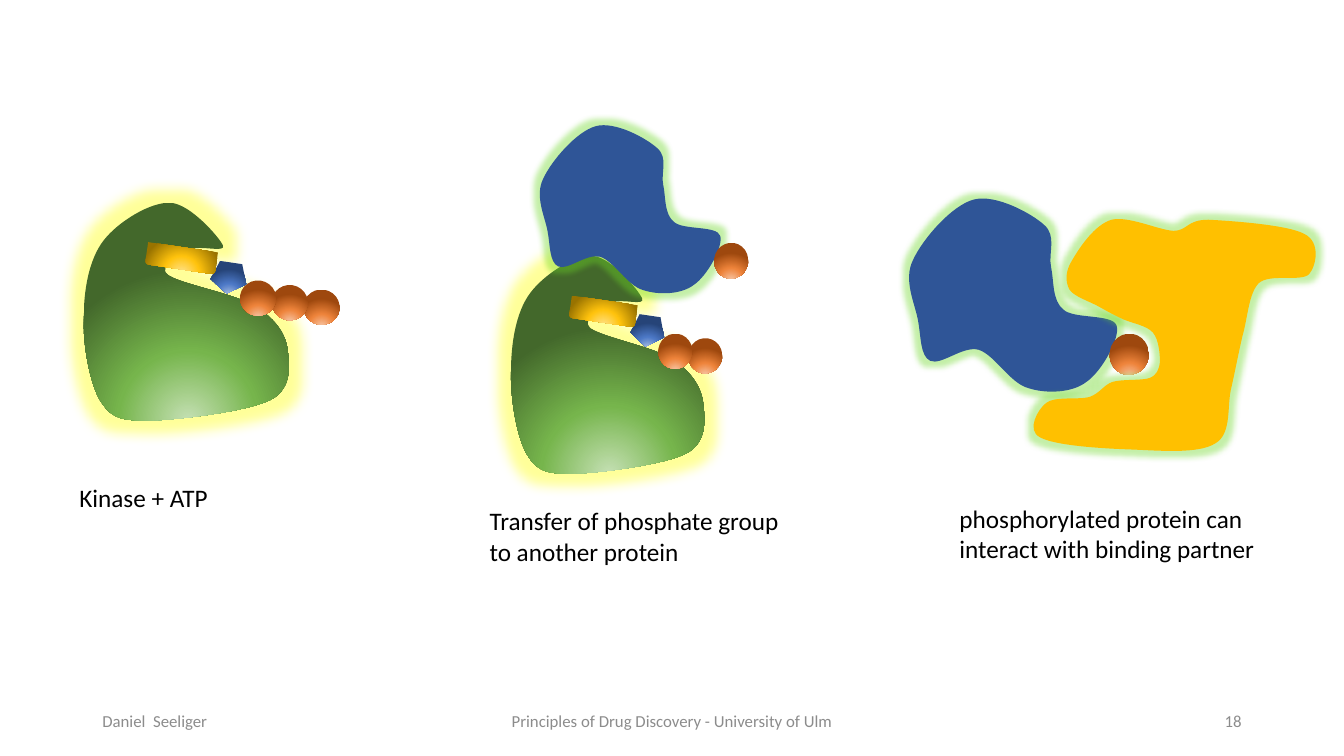
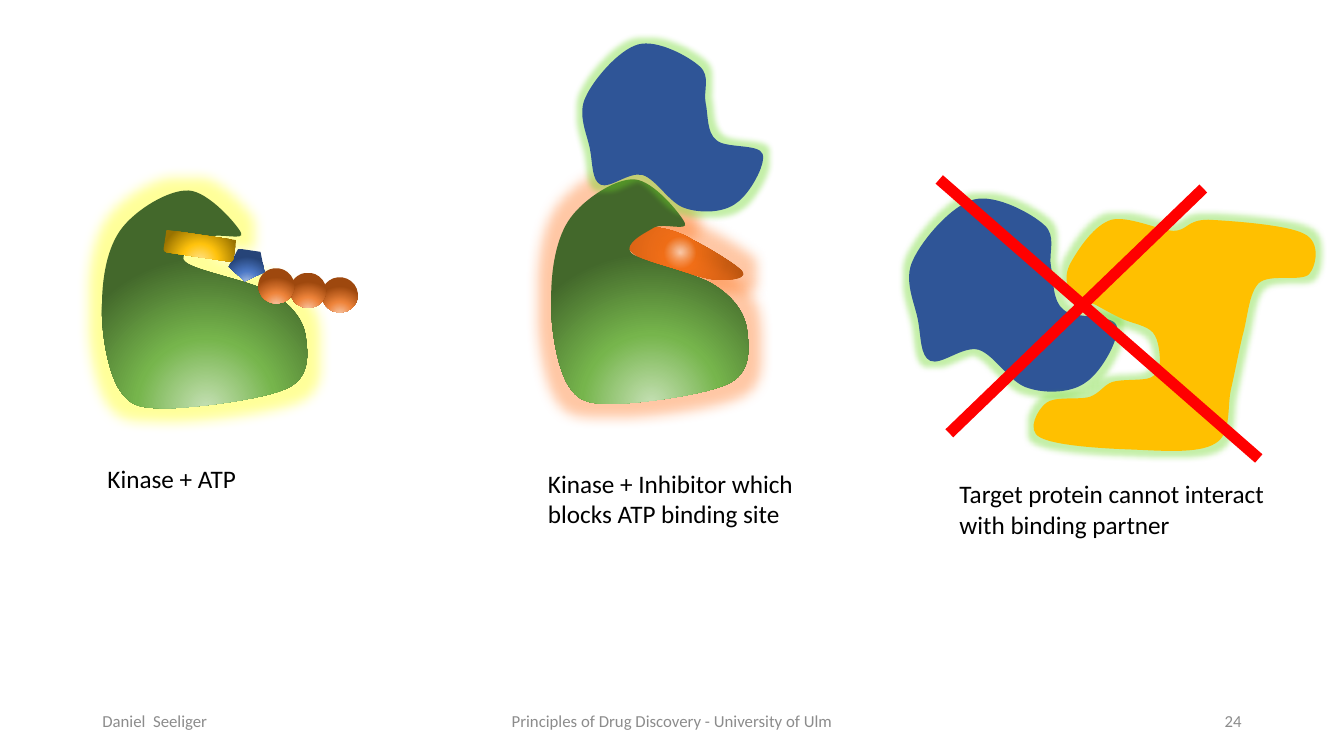
from dataclasses import dataclass

from pptx import Presentation
from pptx import util as u
from pptx.dml.color import RGBColor
from pptx.enum import shapes, text
from pptx.oxml import parse_xml
from pptx.oxml.ns import nsdecls, qn
from lxml import etree

MSO = shapes.MSO_SHAPE
ALIGN = text.PP_ALIGN


@dataclass(frozen=True)
class Theme:
    font: str = "Calibri"
    caption_size: int = 18
    footer_size: int = 12
    cross_width: int = 8
    ink: str = "000000"
    grey: str = "8C8C8C"
    red: str = "FF0000"
    protein: str = "2F5597"
    partner: str = "FFC000"
    # Gradients: (position in percent, colour), from the focus outwards
    green: tuple = ((0, "C5E0B4"), (46, "76B54C"), (100, "43682B"))
    orange: tuple = ((0, "F8CBAD"), (46, "EE843B"), (100, "9E480E"))
    blue: tuple = ((0, "B4C7E7"), (46, "4D79C7"), (100, "264478"))
    gold: tuple = ((0, "FFE699"), (46, "FFC30D"), (100, "997300"))
    rust: tuple = ((0, "F9D7BF"), (23, "EA6B14"), (69, "C55A11"), (97, "B85410"))
    # Glows: colour, radius in points
    yellow_glow: tuple = ("FFFF00", 18)
    orange_glow: tuple = ("FF751E", 18)
    green_glow: tuple = ("6CD826", 8)


T = Theme()
BELOW = (50, 130, 50, -30)
CENTRE = (50, 50, 50, 50)


@dataclass(frozen=True)
class Box:
    """A region in centimetres."""
    x: float
    y: float
    w: float
    h: float

    def inner(self, grid, x, y, w, h):
        """Sub-box given in the units of a grid (columns, rows) laid over this box."""
        kx, ky = self.w / grid[0], self.h / grid[1]
        return Box(self.x + x * kx, self.y + y * ky, w * kx, h * ky)

    def emu(self):
        return [u.Cm(v) for v in (self.x, self.y, self.w, self.h)]


# Outlines: a start point, then three points for each Bézier curve
KINASE_GRID = (204, 216)
KINASE = [
    (138, 42), (135, 35), (106, 1), (86, 0), (66, -1), (34, 19), (20, 37),
    (5, 56), (0, 87), (0, 114), (-1, 140), (6, 180), (17, 197),
    (28, 214), (38, 216), (66, 216), (94, 215), (163, 207), (186, 195),
    (208, 183), (204, 159), (202, 143), (199, 128), (189, 114), (169, 102),
    (150, 90), (93, 80), (83, 71), (73, 62), (98, 51), (107, 46),
    (117, 42), (142, 50), (138, 42)]
INHIBITOR_GRID = (125, 52)
INHIBITOR = [
    (75, 12), (62, 4), (52, 2), (42, 0), (33, -2), (25, 0), (18, 1),
    (11, 3), (-3, 3), (0, 9), (3, 15), (24, 32), (36, 38),
    (47, 44), (70, 45), (70, 45), (81, 48), (93, 52), (103, 52),
    (112, 52), (129, 51), (125, 44), (121, 38), (89, 19), (75, 12)]
PROTEIN_GRID = (202, 187)
PROTEIN = [
    (65, 149), (81, 154), (96, 182), (114, 187), (132, 193), (158, 192), (172, 181),
    (187, 171), (206, 137), (202, 125), (198, 113), (159, 119), (149, 109),
    (138, 100), (140, 81), (137, 67), (134, 53), (143, 36), (130, 25),
    (118, 14), (82, -6), (60, 0), (38, 6), (9, 40), (0, 60),
    (-10, 80), (2, 103), (5, 120), (8, 136), (7, 155), (17, 160),
    (28, 165), (49, 145), (65, 149)]
PARTNER_GRID = (280, 230)
PARTNER = [
    (77, 1), (60, 6), (45, 29), (38, 41), (31, 52), (31, 62), (35, 70),
    (39, 77), (55, 82), (64, 87), (73, 92), (80, 96), (89, 100),
    (98, 104), (112, 106), (118, 113), (124, 120), (125, 135), (125, 142),
    (124, 150), (122, 155), (115, 158), (107, 161), (88, 159), (78, 162),
    (69, 165), (66, 173), (55, 177), (44, 180), (20, 176), (12, 183),
    (4, 189), (-8, 210), (6, 217), (20, 225), (65, 228), (94, 229),
    (123, 230), (163, 234), (180, 223), (197, 213), (191, 185), (196, 167),
    (200, 149), (203, 133), (207, 116), (212, 99), (213, 74), (223, 64),
    (234, 54), (265, 63), (273, 55), (280, 47), (285, 23), (268, 15),
    (252, 6), (194, 2), (173, 1), (151, 1), (153, 12), (138, 12),
    (123, 11), (94, -3), (77, 1)]
COMPLEX_GRID = (400, 249)


def paint(sp, fill, focus=BELOW, glow=None):
    """Fill with a plain colour or a radial gradient, without outline or shadow."""
    sp.line.fill.background()
    sp.shadow.inherit = False
    props = sp._element.spPr
    if isinstance(fill, str):
        sp.fill.solid()
        sp.fill.fore_color.rgb = RGBColor.from_string(fill)
    else:
        sp.fill.gradient()
        stops = "".join(f'<a:gs pos="{pos * 1000}"><a:srgbClr val="{c}"/></a:gs>'
                        for pos, c in fill)
        rect = " ".join(f'{side}="{v * 1000}"' for side, v in zip("ltrb", focus))
        props.replace(props.find(qn("a:gradFill")), parse_xml(
            f'<a:gradFill {nsdecls("a")} rotWithShape="1"><a:gsLst>{stops}</a:gsLst>'
            f'<a:path path="circle"><a:fillToRect {rect}/></a:path></a:gradFill>'))
    if glow:
        colour, radius = glow
        props.find(qn("a:effectLst")).append(parse_xml(
            f'<a:glow {nsdecls("a")} rad="{u.Pt(radius)}"><a:srgbClr val="{colour}">'
            f'<a:alpha val="40000"/></a:srgbClr></a:glow>'))


def blob(s, box, grid, outline, fill, glow, focus=BELOW):
    """Closed Bézier outline, stretched from its grid to the box."""
    pts = [(u.Cm(box.x + x * box.w / grid[0]), u.Cm(box.y + y * box.h / grid[1]))
           for x, y in outline]
    builder = s.shapes.build_freeform(*pts[0])
    builder.add_line_segments(pts[1:], close=True)
    sp = builder.convert_to_shape()
    segments = list(sp._element.iter(qn("a:lnTo")))
    for i in range(0, len(outline) - 1, 3):
        curve = etree.Element(qn("a:cubicBezTo"))
        segments[i].addprevious(curve)
        for segment in segments[i:i + 3]:
            curve.append(segment[0])
            segment.getparent().remove(segment)
    paint(sp, fill, focus, glow)


def piece(s, kind, box, fill):
    sp = s.shapes.add_shape(kind, *box.emu())
    sp.rotation = 188.4
    paint(sp, fill)


def kinase(s, box, glow=T.yellow_glow):
    blob(s, box, KINASE_GRID, KINASE, T.green, glow)


def kinase_with_atp(s, box, phosphates):
    kinase(s, box)
    for i in reversed(range(phosphates)):
        piece(s, MSO.OVAL, box.inner(KINASE_GRID, 155 + 31.5 * i, 77 + 4.5 * i, 36, 35),
              T.orange)
    piece(s, MSO.REGULAR_PENTAGON, box.inner(KINASE_GRID, 126, 59, 36, 31), T.blue)
    piece(s, MSO.ROUND_2_SAME_RECTANGLE, box.inner(KINASE_GRID, 62, 44, 70, 22), T.gold)


def kinase_with_inhibitor(s, box):
    blob(s, box.inner((100, 100), 33, 21.5, 64, 23.3), INHIBITOR_GRID, INHIBITOR,
         T.rust, T.orange_glow, CENTRE)
    kinase(s, box, T.orange_glow)


def target_protein(s, box, phosphorylated):
    blob(s, box, PROTEIN_GRID, PROTEIN, T.protein, T.green_glow)
    if phosphorylated:
        piece(s, MSO.OVAL, box.inner(PROTEIN_GRID, 195, 133, 39, 41), T.orange)


def binding_complex(s, box, phosphorylated):
    target_protein(s, box.inner(COMPLEX_GRID, 0, 0, *PROTEIN_GRID), phosphorylated)
    blob(s, box.inner(COMPLEX_GRID, 120, 19, *PARTNER_GRID), PARTNER_GRID, PARTNER,
         T.partner, T.green_glow)


def cross_out(s, box):
    """Two strokes over a binding complex, on its grid."""
    for x1, y1, x2, y2 in ((26, -20, 343, 257), (36, 232, 288, -11)):
        start, end = (box.inner(COMPLEX_GRID, x, y, 0, 0) for x, y in ((x1, y1), (x2, y2)))
        line = s.shapes.add_connector(shapes.MSO_CONNECTOR.STRAIGHT,
                                      *start.emu()[:2], *end.emu()[:2])
        line.line.color.rgb = RGBColor.from_string(T.red)
        line.line.width = u.Pt(T.cross_width)
        etree.SubElement(line._element.spPr, qn("a:effectLst"))


def label(s, box, lines, size, colour, align=ALIGN.LEFT, anchor=text.MSO_ANCHOR.TOP):
    tf = s.shapes.add_textbox(*box.emu()).text_frame
    tf.word_wrap = True
    tf.vertical_anchor = anchor
    tf.text = "\n".join(lines)
    for p in tf.paragraphs:
        p.alignment = align
        p.font.name = T.font
        p.font.size = u.Pt(size)
        p.font.color.rgb = RGBColor.from_string(colour)


def caption(s, x, y, *lines):
    label(s, Box(x, y, 8.6, 0.22 + 0.79 * len(lines)), lines, T.caption_size, T.ink)


def new_slide(prs, number):
    s = prs.slides.add_slide(prs.slide_layouts[6])
    for x, w, line, align in (
            (2.33, 7.62, "Daniel  Seeliger", ALIGN.LEFT),
            (11.22, 11.43, "Principles of Drug Discovery - University of Ulm", ALIGN.CENTER),
            (23.92, 7.62, str(number), ALIGN.RIGHT)):
        label(s, Box(x, 17.66, w, 1.01), [line], T.footer_size, T.grey, align,
              text.MSO_ANCHOR.MIDDLE)
    return s


COMPLEX_BOX = Box(23.01, 5.03, 10.16, 6.32)


def phosphorylation_slide(prs):
    s = new_slide(prs, 18)
    kinase_with_atp(s, Box(2.11, 5.11, 5.18, 5.49), phosphates=3)
    kinase_with_atp(s, Box(12.88, 6.45, 4.88, 5.49), phosphates=2)
    target_protein(s, Box(13.69, 3.18, 4.46, 4.13), phosphorylated=True)
    binding_complex(s, COMPLEX_BOX, phosphorylated=True)
    caption(s, 1.75, 12.04, "Kinase + ATP")
    caption(s, 12.09, 12.62, "Transfer of phosphate group", "to another protein")
    caption(s, 23.93, 12.55, "phosphorylated protein can", "interact with binding partner")


def inhibition_slide(prs):
    s = new_slide(prs, 24)
    kinase_with_inhibitor(s, Box(13.89, 4.52, 4.98, 5.66))
    kinase_with_atp(s, Box(2.57, 4.8, 5.18, 5.49), phosphates=3)
    binding_complex(s, COMPLEX_BOX, phosphorylated=False)
    cross_out(s, COMPLEX_BOX)
    caption(s, 2.46, 11.56, "Kinase + ATP")
    caption(s, 13.56, 11.68, "Kinase + Inhibitor which", "blocks ATP binding site")
    caption(s, 23.93, 11.94, "Target protein cannot interact", "with binding partner")
    target_protein(s, Box(14.76, 1.12, 4.46, 4.13), phosphorylated=False)


def main():
    prs = Presentation()
    prs.slide_width, prs.slide_height = u.Cm(33.87), u.Cm(19.05)
    phosphorylation_slide(prs)
    inhibition_slide(prs)
    prs.save("out.pptx")


if __name__ == "__main__":
    main()
